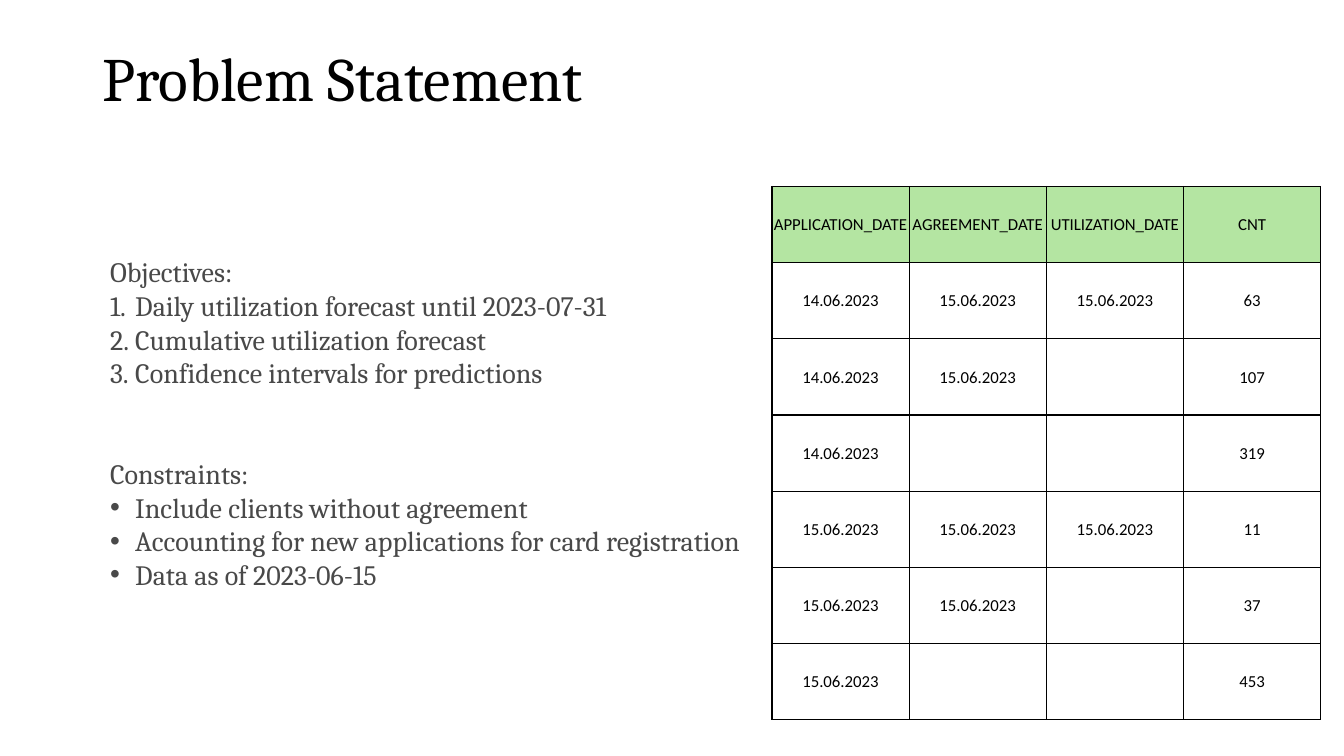
from lxml.etree import SubElement
from pptx import Presentation
from pptx.dml.color import RGBColor
from pptx.enum.text import MSO_ANCHOR as Anchor, PP_ALIGN as Align
from pptx.oxml import parse_xml
from pptx.oxml.ns import nsdecls, qn
from pptx.util import Pt

TITLE = "Problem Statement"
GOALS = [
    "Daily utilization forecast until 2023-07-31",
    "Cumulative utilization forecast",
    "Confidence intervals for predictions",
]
LIMITS = [
    "Include clients without agreement",
    "Accounting for new applications for card registration",
    "Data as of 2023-06-15",
]
NUMBER = ("a:buAutoNum", {"type": "arabicPeriod"})
DOT = ("a:buChar", {"char": "•"})
LISTS = [("Objectives:", GOALS, NUMBER, 0), ("Constraints:", LIMITS, DOT, 48)]
COUNTS = [
    ("APPLICATION_DATE", "AGREEMENT_DATE", "UTILIZATION_DATE", "CNT"),
    ("14.06.2023", "15.06.2023", "15.06.2023", "63"),
    ("14.06.2023", "15.06.2023", "", "107"),
    ("14.06.2023", "", "", "319"),
    ("15.06.2023", "15.06.2023", "15.06.2023", "11"),
    ("15.06.2023", "15.06.2023", "", "37"),
    ("15.06.2023", "", "", "453"),
]
BLACK, GREY, GREEN = "000000", "494949", "B4E5A2"
COL, ROW = 98, 54.4
INDENT = 18


def rgb(code):
    return RGBColor.from_string(code)


def style(para, face, size, color):
    font = para.font
    font.name, font.size, font.color.rgb = face, Pt(size), rgb(color)


def add_box(left, top, width, height, anchor):
    box = slide.shapes.add_textbox(Pt(left), Pt(top), Pt(width), Pt(height))
    frame = box.text_frame
    frame.word_wrap = True
    frame.vertical_anchor = anchor
    return frame


def add_line(frame, text):
    """Fill the empty first paragraph, or append a new one."""
    para = frame.paragraphs[0]
    if para.runs:
        para = frame.add_paragraph()
    para.text = text
    style(para, "Cambria", 20, GREY)
    return para


def mark(para, bullet):
    """Give a paragraph a hanging bullet or number."""
    tag, attrs = bullet
    props = para._p.get_or_add_pPr()
    props.set("marL", str(Pt(INDENT)))
    props.set("indent", str(-Pt(INDENT)))
    SubElement(props, qn("a:buFont"), typeface="Arial" if bullet is DOT else "+mj-lt")
    SubElement(props, qn(tag), attrs)


def frame_cell(cell):
    """Draw a thin black line on all four sides."""
    props = cell._tc.get_or_add_tcPr()
    for i, side in enumerate("LRTB"):
        props.insert(i, parse_xml(
            f'<a:ln{side} {nsdecls("a")} w="{Pt(1)}"><a:solidFill>'
            f'<a:srgbClr val="{BLACK}"/></a:solidFill></a:ln{side}>'))


def fill_cell(cell, text, head):
    cell.text = text
    cell.vertical_anchor = Anchor.MIDDLE
    cell.margin_left = cell.margin_right = cell.margin_top = Pt(0.72)
    cell.margin_bottom = 0
    para = cell.text_frame.paragraphs[0]
    para.alignment = Align.CENTER
    style(para, "Calibri", 12, BLACK)
    if head:
        cell.fill.solid()
        cell.fill.fore_color.rgb = rgb(GREEN)
    else:
        cell.fill.background()
    frame_cell(cell)


deck = Presentation()
deck.slide_width, deck.slide_height = Pt(960), Pt(540)
slide = deck.slides.add_slide(deck.slide_layouts[6])

title = add_box(66, 28.8, 828, 104.4, Anchor.TOP)
title.margin_top = Pt(6)
heading = title.paragraphs[0]
heading.text = TITLE
heading.line_spacing = 0.9
style(heading, "Cambria", 44, BLACK)

body = add_box(78.6, 180.8, 472, 242.6, Anchor.MIDDLE)
body.margin_left = body.margin_right = body.margin_top = body.margin_bottom = 0
for label, items, bullet, gap in LISTS:
    add_line(body, label).space_before = Pt(gap)
    for item in items:
        mark(add_line(body, item), bullet)

rows, cols = len(COUNTS), len(COUNTS[0])
table = slide.shapes.add_table(
    rows, cols, Pt(551.4), Pt(133.2), Pt(cols * COL), Pt(rows * ROW)).table
table.first_row = table.horz_banding = False
for col in table.columns:
    col.width = Pt(COL)
for r, record in enumerate(COUNTS):
    table.rows[r].height = Pt(ROW)
    for c, text in enumerate(record):
        fill_cell(table.cell(r, c), text, r == 0)

deck.save("out.pptx")
